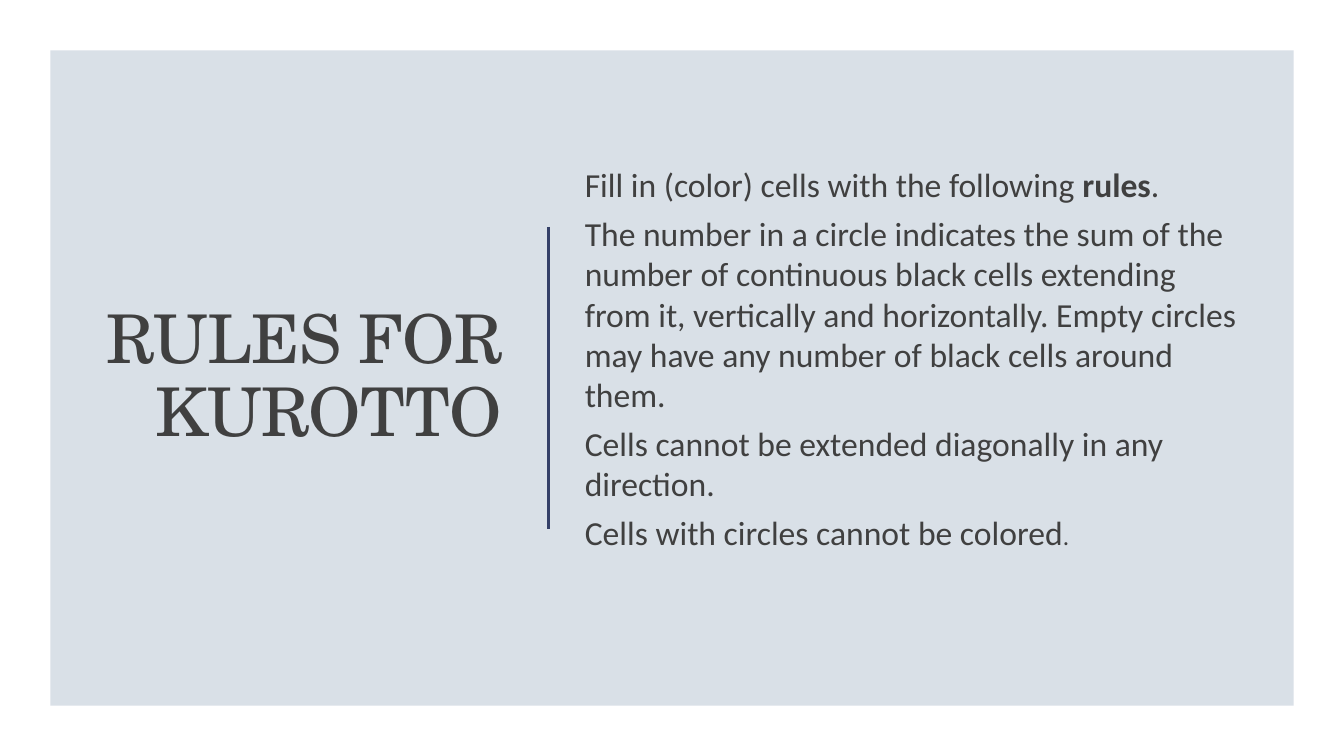
"""Build the slide that states the rules of Kurotto."""
from dataclasses import dataclass

from lxml import etree
from pptx import Presentation
from pptx import util as u
from pptx.dml.color import RGBColor
from pptx.enum import shapes, text
from pptx.oxml.ns import qn
from pptx.slide import Slide


@dataclass(frozen=True)
class Theme:
    """Hold the colours, fonts and type sizes."""
    page: RGBColor = RGBColor.from_string("FFFFFF")
    panel: RGBColor = RGBColor.from_string("D9E0E7")
    ink: RGBColor = RGBColor.from_string("404040")
    rule: RGBColor = RGBColor.from_string("344068")
    title_font: str = "TeX Gyre Schola"
    body_font: str = "Calibri"
    title_size: float = 48
    body_size: float = 24
    small_size: float = 18


THEME = Theme()


@dataclass(frozen=True)
class Run:
    """Hold a piece of text and its format."""
    text: str
    size: float = THEME.body_size
    font: str = THEME.body_font
    bold: bool = False
    tracking: int = 0


@dataclass(frozen=True)
class Block:
    """Hold the place, paragraphs and formats of a text box."""
    box: tuple[float, float, float, float]
    paragraphs: list[list[Run]]
    frame_format: dict
    paragraph_format: dict


TITLE = Block(
    (0.94, 1.05, 4.14, 5.4),
    [[Run("RULES FOR KUROTTO", THEME.title_size, THEME.title_font, tracking=-50)]],
    {},
    {"alignment": text.PP_ALIGN.RIGHT, "line_spacing": 0.9},
)
RULES = Block(
    (5.8, 1.05, 6.53, 5.4),
    [
        [Run("Fill in (color) cells with the following "), Run("rules", bold=True), Run(".")],
        [Run("The number in a circle indicates the sum of the number of continuous "
             "black cells extending from it, vertically and horizontally. Empty "
             "circles may have any number of black cells around them.")],
        [Run("Cells cannot be extended diagonally in any direction.")],
        [Run("Cells with circles cannot be colored"), Run(".", THEME.small_size)],
    ],
    {"margin_left": 0, "margin_right": 0, "margin_bottom": u.Inches(0.44)},
    {"space_after": u.Pt(6)},
)


def apply(target: object, values: dict) -> None:
    """Set each format value on the target."""
    for name, value in values.items():
        setattr(target, name, value)


def draw_panel(s: Slide) -> None:
    """Draw the tinted panel inside the page margin."""
    sp = s.shapes.add_shape(
        shapes.MSO_SHAPE.RECTANGLE, *(u.Inches(n) for n in (0.5, 0.5, 12.33, 6.5)))
    sp.shadow.inherit = False
    sp.fill.solid()
    sp.fill.fore_color.rgb = THEME.panel
    sp.line.fill.background()


def draw_divider(s: Slide) -> None:
    """Draw the upright line between title and rules."""
    sp = s.shapes.add_connector(
        shapes.MSO_CONNECTOR.STRAIGHT, *(u.Inches(n) for n in (5.44, 2.25, 5.44, 5.25)))
    sp.line.color.rgb = THEME.rule
    sp.line.width = u.Pt(1.5)
    etree.SubElement(sp._element.spPr, qn("a:effectLst"))


def draw_block(s: Slide, block: Block) -> None:
    """Draw a text box with its paragraphs and runs."""
    tf = s.shapes.add_textbox(*(u.Inches(n) for n in block.box)).text_frame
    apply(tf, {"word_wrap": True, "vertical_anchor": text.MSO_ANCHOR.MIDDLE,
               **block.frame_format})
    for i, runs in enumerate(block.paragraphs):
        p = tf.add_paragraph() if i else tf.paragraphs[0]
        apply(p, block.paragraph_format)
        for run in runs:
            r = p.add_run()
            r.text = run.text
            apply(r.font, {"size": u.Pt(run.size), "name": run.font, "bold": run.bold})
            r.font.color.rgb = THEME.ink
            if run.tracking:
                r._r.get_or_add_rPr().set("spc", str(run.tracking))


def main() -> None:
    """Build and save the slide."""
    prs = Presentation()
    apply(prs, {"slide_width": u.Inches(13.33), "slide_height": u.Inches(7.5)})
    s = prs.slides.add_slide(prs.slide_layouts[6])
    s.background.fill.solid()
    s.background.fill.fore_color.rgb = THEME.page
    draw_panel(s)
    draw_divider(s)
    for block in (TITLE, RULES):
        draw_block(s, block)
    prs.save("out.pptx")


if __name__ == "__main__":
    main()
